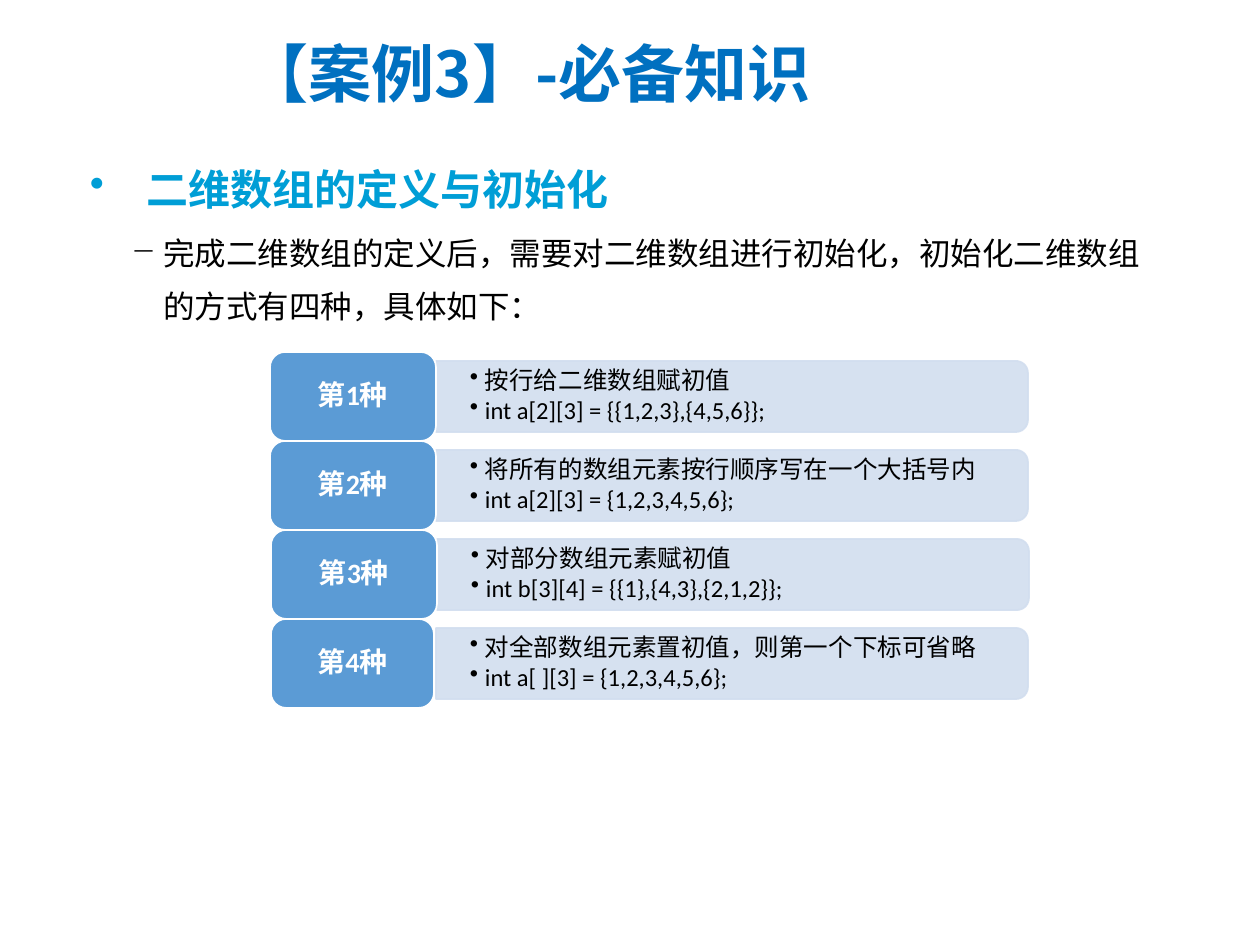
import math

from lxml import etree
from pptx import Presentation
from pptx.dml.color import RGBColor
from pptx.enum.shapes import MSO_SHAPE
from pptx.enum.text import MSO_ANCHOR, PP_ALIGN
from pptx.oxml.ns import qn
from pptx.util import Emu, Pt

LEFT, CENTER = PP_ALIGN.LEFT, PP_ALIGN.CENTER
TOP, MIDDLE = MSO_ANCHOR.TOP, MSO_ANCHOR.MIDDLE
ROUNDED = MSO_SHAPE.ROUNDED_RECTANGLE

TITLE_BLUE = RGBColor(0x00, 0x70, 0xC0)
HEADING_BLUE = RGBColor(0x00, 0x9E, 0xD6)
LABEL_BLUE = RGBColor(0x5B, 0x9B, 0xD5)
PALE_BLUE = RGBColor(0xD2, 0xDE, 0xEF)
BLACK = RGBColor(0x00, 0x00, 0x00)
WHITE = RGBColor(0xFF, 0xFF, 0xFF)

LATIN_FONT = "Calibri"
CJK_FONT = "Noto Sans CJK SC"

ROW_TOP, ROW_PITCH = 352, 89
DETAIL_OFFSET, DETAIL_WIDTH, DETAIL_HEIGHT = 9, 592, 71
CORNER = 12

# label, label left, label width, detail left, detail lines
METHODS = [
    ("第1种", 270, 166, 436,
     ["按行给二维数组赋初值", "int a[2][3] = {{1,2,3},{4,5,6}};"]),
    ("第2种", 270, 166, 436,
     ["将所有的数组元素按行顺序写在一个大括号内", "int a[2][3] = {1,2,3,4,5,6};"]),
    ("第3种", 271, 166, 437,
     ["对部分数组元素赋初值", "int b[3][4] = {{1},{4,3},{2,1,2}};"]),
    ("第4种", 271, 163, 436,
     ["对全部数组元素置初值，则第一个下标可省略", "int a[ ][3] = {1,2,3,4,5,6};"]),
]


def px(length):
    return Emu(round(length * 914400 / 126))


def set_text(shape, lines, *, size, color, font=LATIN_FONT, bold=False,
             align=LEFT, anchor=TOP, margins=(13, 6, 13, 6), bullet=None,
             indent=0, line_spacing=1.0, space_after=0):
    frame = shape.text_frame
    frame.word_wrap = True
    frame.vertical_anchor = anchor
    (frame.margin_left, frame.margin_top,
     frame.margin_right, frame.margin_bottom) = map(px, margins)
    for index, line in enumerate(lines):
        para = frame.paragraphs[0] if index == 0 else frame.add_paragraph()
        if bullet:
            properties = para._p.get_or_add_pPr()
            properties.set("marL", str(px(indent)))
            properties.set("indent", str(-px(indent)))
            etree.SubElement(properties, qn("a:buChar"), char=bullet)
        para.alignment = align
        para.line_spacing = line_spacing
        para.space_after = Pt(space_after)
        span = para.add_run()
        span.text = line
        span.font.name = font
        span.font.size = Pt(size)
        span.font.bold = bold
        span.font.color.rgb = color


def add_text(page, left, top, width, height, lines, **style):
    box = page.shapes.add_textbox(px(left), px(top), px(width), px(height))
    set_text(box, lines, **style)


def paint(shape, fill, line, opacity=100):
    shape.shadow.inherit = False
    shape.fill.solid()
    shape.fill.fore_color.rgb = fill
    shape.line.color.rgb = line
    shape.line.width = Pt(1)
    if opacity < 100:
        for color in shape._element.spPr.iter(qn("a:srgbClr")):
            etree.SubElement(color, qn("a:alpha"), val=str(opacity * 1000))


def add_label(page, left, top, width, text):
    label = page.shapes.add_shape(
        ROUNDED, px(left), px(top), px(width), px(ROW_PITCH))
    label.adjustments[0] = 0.17
    paint(label, LABEL_BLUE, WHITE)
    set_text(label, [text], size=16, color=WHITE, bold=True, align=CENTER,
             anchor=MIDDLE, margins=(13, 9, 13, 9), line_spacing=0.9,
             space_after=5.6)


def add_detail(page, left, top, lines):
    """Panel with square left corners and round right corners."""
    right, bottom = left + DETAIL_WIDTH, top + DETAIL_HEIGHT
    outline = []
    for center_y, start in ((top + CORNER, -90), (bottom - CORNER, 0)):
        for degrees in range(start, start + 91, 10):
            angle = math.radians(degrees)
            outline.append((px(right - CORNER + CORNER * math.cos(angle)),
                            px(center_y + CORNER * math.sin(angle))))
    outline.append((px(left), px(bottom)))
    builder = page.shapes.build_freeform(px(left), px(top))
    builder.add_line_segments(outline, close=True)
    panel = builder.convert_to_shape()
    paint(panel, PALE_BLUE, PALE_BLUE, opacity=90)
    set_text(panel, lines, size=14, color=BLACK, anchor=MIDDLE,
             margins=(34, 20, 38, 20), bullet="•", indent=15,
             line_spacing=0.9, space_after=2.1)


def main():
    deck = Presentation()
    deck.slide_width, deck.slide_height = px(1260), px(945)
    page = deck.slides.add_slide(deck.slide_layouts[5])

    # Title
    title = page.shapes.title
    title.left, title.top, title.width, title.height = map(
        px, (233, 19, 709, 106))
    set_text(title, ["【案例3】-必备知识"], size=36, color=TITLE_BLUE,
             font=CJK_FONT, bold=True, anchor=MIDDLE)

    # Heading and introduction
    add_text(page, 77, 132, 554, 89, ["二维数组的定义与初始化"], size=24,
             color=HEADING_BLUE, bold=True, bullet="•", indent=57,
             line_spacing=1.5)
    add_text(page, 118, 213, 1041, 126,
             ["完成二维数组的定义后，需要对二维数组进行初始化，"
              "初始化二维数组的方式有四种，具体如下："],
             size=18, color=BLACK, font=CJK_FONT, bullet="−", indent=32,
             line_spacing=1.4)

    # Four ways to initialise
    for row, (name, left, width, detail_left, lines) in enumerate(METHODS):
        top = ROW_TOP + row * ROW_PITCH
        add_detail(page, detail_left, top + DETAIL_OFFSET, lines)
        add_label(page, left, top, width, name)

    deck.save("out.pptx")


if __name__ == "__main__":
    main()
